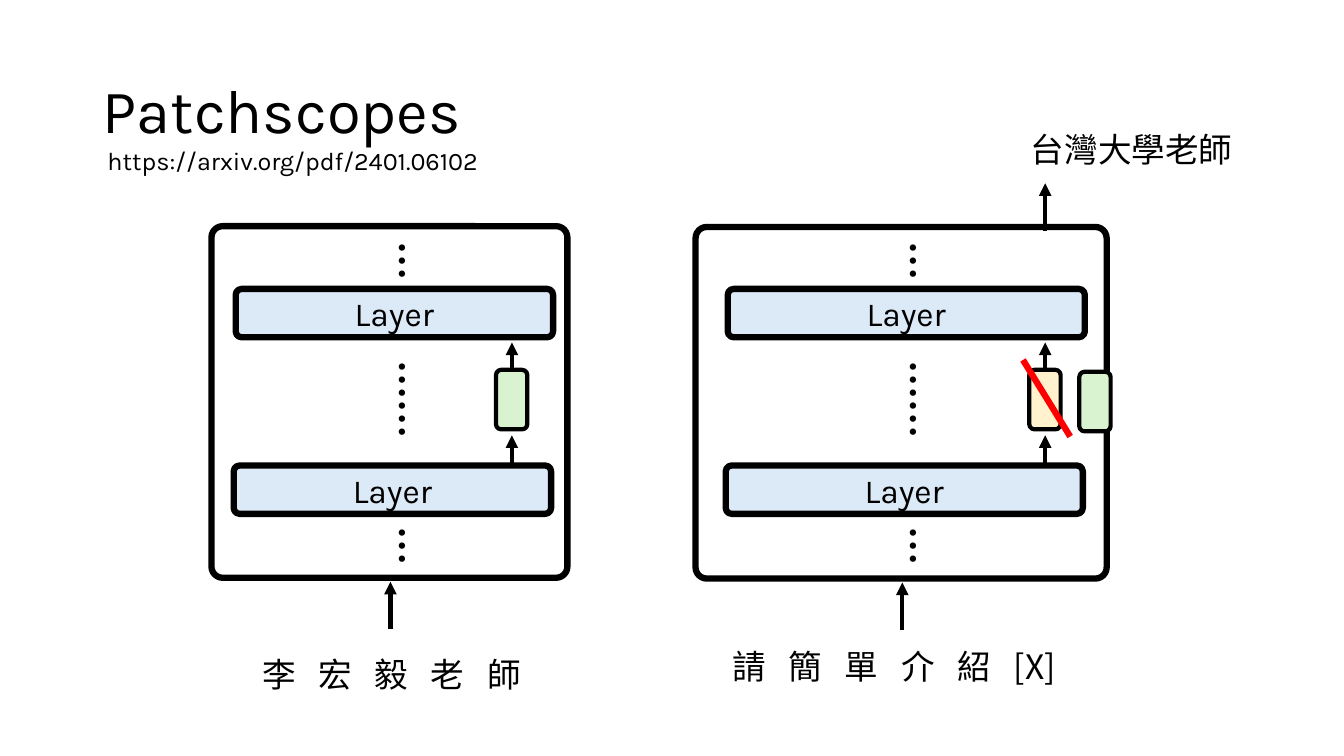
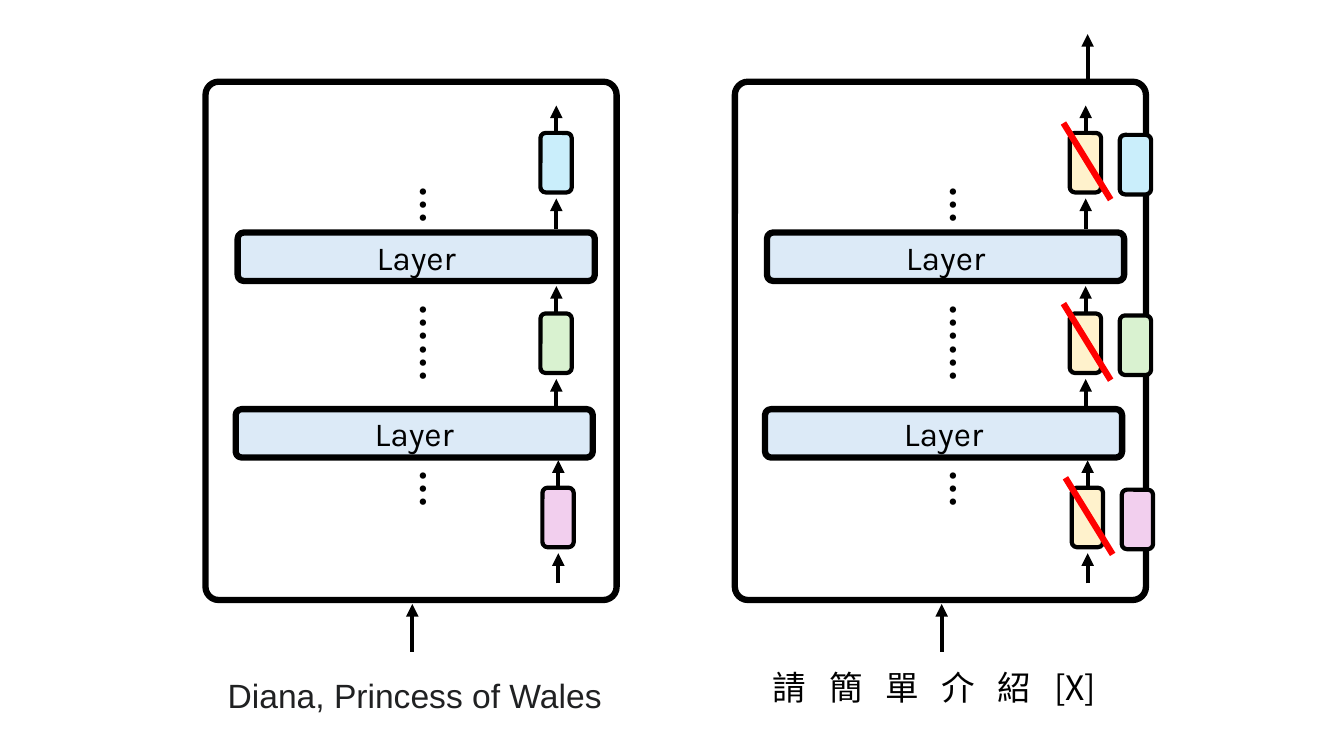
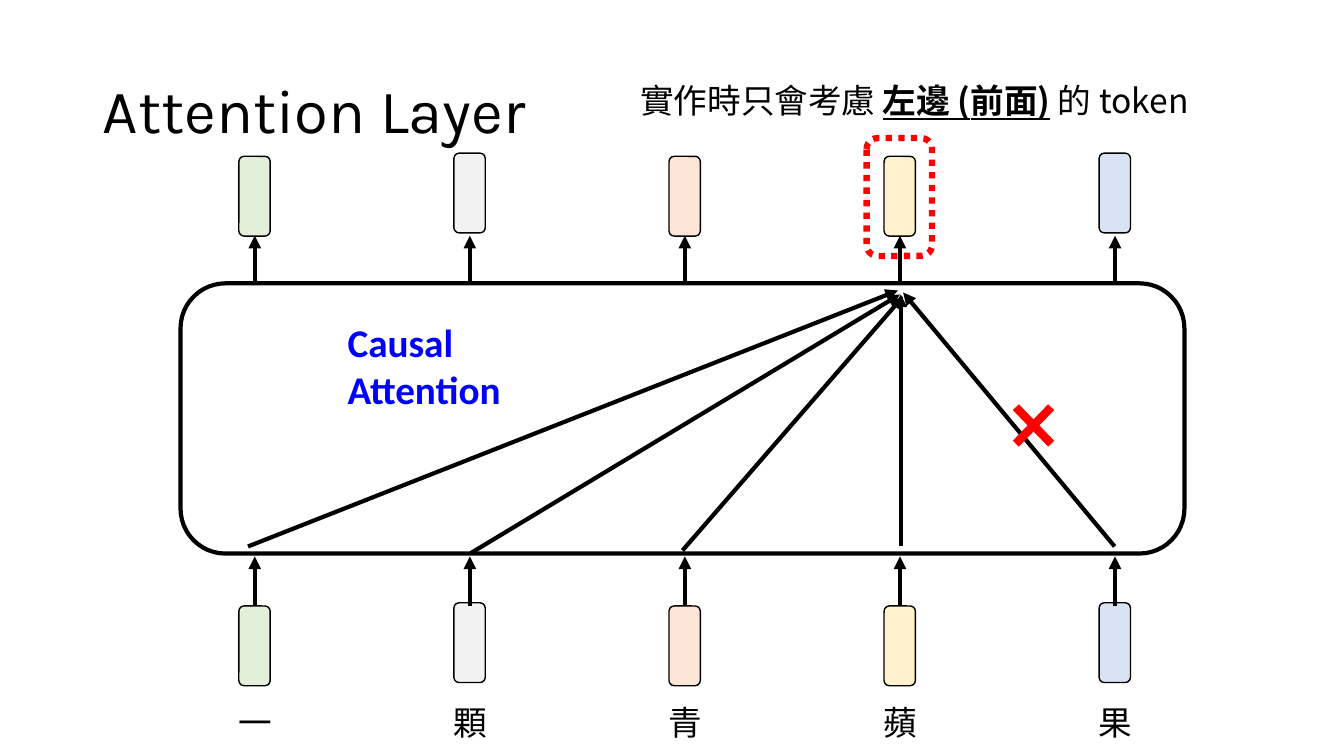
from lxml import etree
from pptx import Presentation
from pptx.dml.color import RGBColor
from pptx.enum import dml, shapes, text
from pptx.oxml import ns
from pptx.util import Cm, Pt

BLACK = RGBColor(0x00, 0x00, 0x00)
INK = RGBColor(0x20, 0x21, 0x22)
RED = RGBColor(0xFF, 0x00, 0x00)
BLUE = RGBColor(0x00, 0x00, 0xFF)
LAYER = RGBColor(0xDC, 0xEA, 0xF7)
YELLOW = RGBColor(0xFF, 0xF2, 0xCC)
GREEN = RGBColor(0xD9, 0xF2, 0xD0)
PINK = RGBColor(0xF2, 0xCF, 0xEE)
SKY = RGBColor(0xCA, 0xEE, 0xFB)
SAGE = RGBColor(0xE2, 0xF0, 0xD9)
GREY = RGBColor(0xF2, 0xF2, 0xF2)
PEACH = RGBColor(0xFB, 0xE5, 0xD6)
LAVENDER = RGBColor(0xDA, 0xE3, 0xF3)

KARLA = "Karla"
CJK = "Noto Sans CJK SC"
LEFT = text.PP_ALIGN.LEFT
CENTER = text.PP_ALIGN.CENTER
WIDE_GAP = 5.4


def write_run(p, content, size=24, font=CJK, color=BLACK, bold=False,
              underline=False, spacing=0):
    r = p.add_run()
    r.text = content
    r.font.size = Pt(size)
    r.font.bold = bold
    r.font.underline = underline
    r.font.color.rgb = color
    r.font.name = font
    rPr = r._r.get_or_add_rPr()
    etree.SubElement(rPr, ns.qn("a:ea")).set("typeface", font)
    if spacing:
        rPr.set("spc", str(round(spacing * 100)))


def write(tf, paragraphs, align=LEFT, line_spacing=None, **fmt):
    for i, runs in enumerate(paragraphs):
        p = tf.add_paragraph() if i else tf.paragraphs[0]
        p.alignment = align
        if line_spacing:
            p.line_spacing = line_spacing
        for content, change in runs:
            write_run(p, content, **{**fmt, **change})


class Deck:
    def __init__(self):
        self.prs = Presentation()
        self.prs.slide_width = Cm(33.87)
        self.prs.slide_height = Cm(19.05)

    def slide(self, title=None):
        layout = self.prs.slide_layouts[5 if title else 6]
        self.s = self.prs.slides.add_slide(layout)
        if title:
            sp = self.s.shapes.title
            sp.left, sp.top, sp.width, sp.height = Cm(2.34), Cm(1.02), Cm(29.21), Cm(3.68)
            tf = sp.text_frame
            tf.vertical_anchor = text.MSO_ANCHOR.MIDDLE
            write(tf, [[(title, {})]], line_spacing=0.9, size=44, font=KARLA)

    def text(self, x, y, w, h, *paragraphs, rotation=0, **fmt):
        sp = self.s.shapes.add_textbox(Cm(x), Cm(y), Cm(w), Cm(h))
        sp.rotation = rotation
        sp.text_frame.word_wrap = True
        runs = [[(p, {})] if isinstance(p, str) else p for p in paragraphs]
        write(sp.text_frame, runs, **fmt)

    def box(self, x, y, w, h, fill=None, line=BLACK, width=3, adj=None, dash=None):
        sp = self.s.shapes.add_shape(shapes.MSO_SHAPE.ROUNDED_RECTANGLE,
                                     Cm(x), Cm(y), Cm(w), Cm(h))
        sp.shadow.inherit = False
        if adj is not None:
            sp.adjustments[0] = adj
        if fill is None:
            sp.fill.background()
        else:
            sp.fill.solid()
            sp.fill.fore_color.rgb = fill
        sp.line.color.rgb = line
        sp.line.width = Pt(width)
        if dash:
            sp.line.dash_style = dash
        return sp

    def line(self, x1, y1, x2, y2, color=RED, width=4.5, arrow=False):
        sp = self.s.shapes.add_connector(shapes.MSO_CONNECTOR.STRAIGHT,
                                         Cm(x1), Cm(y1), Cm(x2), Cm(y2))
        sp.line.color.rgb = color
        sp.line.width = Pt(width)
        if arrow:
            ln = sp.line._get_or_add_ln()
            etree.SubElement(ln, ns.qn("a:tailEnd")).set("type", "triangle")
        etree.SubElement(sp._element.spPr, ns.qn("a:effectLst"))

    def arrow(self, x1, y1, x2, y2):
        self.line(x1, y1, x2, y2, color=BLACK, width=3, arrow=True)

    def layer(self, x, y, w):
        sp = self.box(x, y, w, 1.22, fill=LAYER, width=4.5, adj=0.125)
        tf = sp.text_frame
        tf.vertical_anchor = text.MSO_ANCHOR.MIDDLE
        write(tf, [[("Layer", {})]], align=CENTER, font=KARLA)

    def dots(self, center, y, w, content):
        self.text(center - w / 2, y, w, 1.45, content, rotation=90,
                  align=CENTER, size=28, bold=True)

    def model(self, x, y, w, h, layer_x, layer_y, layer_w=9):
        self.box(x, y, w, h, width=4.5, adj=0.032)
        middle, bottom = layer_x + layer_w / 2, y + h
        self.layer(layer_x, layer_y, layer_w)
        self.layer(layer_x + 0.05, layer_y - 4.45, layer_w)
        for dy, dots_w, content in ((-5.87, 2.11, "…"), (-2.39, 3.1, "……"), (1.3, 2.11, "…")):
            self.dots(middle + 0.25, layer_y + dy, dots_w, content)
        self.arrow(middle - 0.05, bottom + 1.3, middle - 0.05, bottom + 0.1)

    def vector(self, center, y, fill):
        self.arrow(center, y + 0.08, center, y - 0.69)
        self.arrow(center, y + 2.41, center, y + 1.65)
        self.box(center - 0.4, y, 0.79, 1.5, fill=fill)

    def patch(self, center, y, fill):
        self.vector(center, y, YELLOW)
        self.box(center + 0.86, y + 0.05, 0.79, 1.5, fill=fill)
        self.line(center - 0.56, y - 0.25, center + 0.63, y + 1.68)

    def target_prompt(self, x, y):
        self.text(x, y, 9.6, 1.27,
                  [("請 簡 單 介 紹 ", {"spacing": WIDE_GAP}), ("[X]", {})])


def patchscopes(deck):
    deck.slide("Patchscopes")
    deck.text(2.46, 3.53, 19.2, 1.02, "https://arxiv.org/pdf/2401.06102", size=18, font=KARLA)
    deck.model(5.33, 5.7, 8.97, 8.86, 5.89, 11.73, layer_w=8)
    deck.vector(12.9, 9.32, GREEN)
    deck.text(3.81, 16.36, 12.12, 1.27, "李 宏 毅 老 師", align=CENTER, spacing=WIDE_GAP)
    deck.model(17.53, 5.72, 10.36, 8.86, 18.29, 11.73)
    deck.patch(26.34, 9.32, GREEN)
    deck.arrow(26.34, 5.82, 26.34, 4.62)
    deck.target_prompt(18.21, 16.15)
    deck.text(25.73, 3.12, 6.68, 1.27, "台灣大學老師")


def layer_by_layer(deck):
    deck.slide()
    deck.model(5.18, 2.06, 10.36, 13.06, 5.94, 10.31)
    deck.model(18.52, 2.06, 10.36, 13.06, 19.28, 10.31)
    for dx, y, fill in ((0.05, 12.29, PINK), (0, 7.9, GREEN), (0, 3.35, SKY)):
        deck.vector(14.02 + dx, y, fill)
        deck.patch(27.36 + dx, y, fill)
    deck.arrow(27.41, 2.06, 27.41, 0.86)
    deck.text(4.39, 16.87, 12.12, 1.27, "Diana, Princess of Wales",
              align=CENTER, font="Arial", color=INK)
    deck.target_prompt(19.23, 16.69)


def attention_layer(deck):
    deck.slide("Attention Layer")
    strong = {"bold": True, "underline": True}
    deck.text(14.83, 1.9, 16.43, 1.27,
              [("實作時只會考慮 ", {}), ("左邊 (前面)", strong), (" 的 token", {})],
              align=CENTER)
    deck.box(4.55, 7.14, 25.3, 6.81)
    tokens = (("一", SAGE, 0), ("顆", GREY, 0.08), ("青", PEACH, 0),
              ("蘋", YELLOW, 0), ("果", LAVENDER, 0.08))
    for i, (token, fill, lift) in enumerate(tokens):
        center = 6.42 + 5.42 * i
        for y in (3.94, 15.27):
            deck.box(center - 0.4, y - lift, 0.79, 2.01, fill=fill, width=1)
        for y in (7.19, 15.27):
            deck.arrow(center, y, center, y - 1.25)
        deck.text(center - 1.67, 17.55, 3.35, 1.27, token, align=CENTER)
    deck.box(21.84, 3.48, 1.65, 2.97, line=RED, width=4.5,
             dash=dml.MSO_LINE.ROUND_DOT)
    deck.text(8.51, 7.9, 4.62, 2.64, "Causal", "Attention",
              size=28, font="Calibri", color=BLUE, bold=True)
    for ends in ((6.25, 13.77, 22.63, 7.32), (11.86, 13.94, 22.68, 7.42),
                 (17.2, 13.87, 22.76, 7.47), (22.7, 13.77, 22.7, 7.42),
                 (28.09, 13.77, 22.76, 7.37)):
        deck.arrow(*ends)
    for y1, y2 in ((10.26, 11.18), (11.18, 10.26)):
        deck.line(25.6, y1, 26.49, y2, width=6)


def main():
    deck = Deck()
    patchscopes(deck)
    layer_by_layer(deck)
    attention_layer(deck)
    deck.prs.save("out.pptx")


if __name__ == "__main__":
    main()
